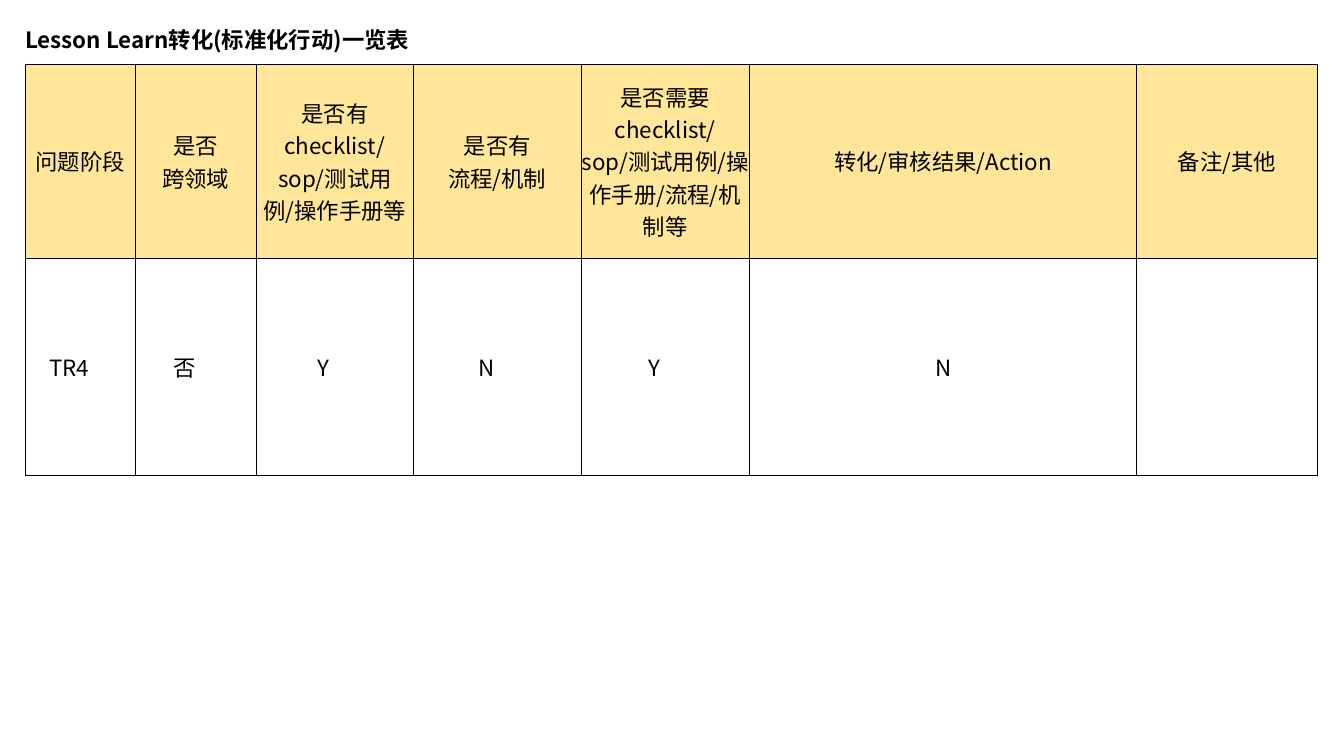
from dataclasses import dataclass

import lxml.etree
import pptx
import pptx.dml.color
import pptx.enum.text
import pptx.oxml.ns
import pptx.util

Pt = pptx.util.Pt
qn = pptx.oxml.ns.qn
SubElement = lxml.etree.SubElement


@dataclass(frozen=True)
class Theme:
    font: str = "Noto Sans CJK SC"
    size: float = 16
    ink: str = "000000"
    header_fill: str = "FFE699"
    border_width: float = 0.5


THEME = Theme()
TITLE = "Lesson Learn转化(标准化行动)一览表"
HEADERS = [
    "问题阶段",
    "是否\n跨领域",
    "是否有checklist/sop/测试用例/操作手册等",
    "是否有\n流程/机制",
    "是否需要checklist/sop/测试用例/操作手册/流程/机制等",
    "转化/审核结果/Action",
    "备注/其他",
]
VALUES = ["TR4　", "否　", "Y　", "N　", "Y　", "N", ""]
COLUMN_WIDTHS = [78.5, 86.5, 112.5, 119.5, 120.5, 276.5, 129]
ROW_HEIGHTS = [36.5, 90.5, 155.5]


def color(value):
    return pptx.dml.color.RGBColor.from_string(value)


def write_text(frame, text, bold=False, align=pptx.enum.text.PP_ALIGN.CENTER):
    """Fill a text frame, one paragraph for each line of the text."""
    frame.word_wrap = True
    for index, line in enumerate(text.split("\n")):
        para = frame.add_paragraph() if index else frame.paragraphs[0]
        para.alignment = align
        para.font.size = Pt(THEME.size)
        if not line:
            continue
        span = para.add_run()
        span.text = line
        span.font.name = THEME.font
        span.font.size = Pt(THEME.size)
        span.font.bold = bold
        span.font.color.rgb = color(THEME.ink)
        east_asian = SubElement(span.font._element, qn("a:ea"))
        east_asian.set("typeface", THEME.font)


def set_borders(cell, visible):
    """Draw the sides named in visible (of L, R, T, B) and clear the others."""
    properties = cell._tc.get_or_add_tcPr()
    for side in "LRTB":
        line = SubElement(properties, qn(f"a:ln{side}"))
        line.set("w", str(int(Pt(THEME.border_width))))
        if side in visible:
            fill = SubElement(line, qn("a:solidFill"))
            SubElement(fill, qn("a:srgbClr")).set("val", THEME.ink)
        else:
            SubElement(line, qn("a:noFill"))


def format_cell(cell, fill=None, borders="LRTB"):
    cell.margin_left = cell.margin_right = Pt(0)
    cell.margin_top = cell.margin_bottom = Pt(0)
    cell.vertical_anchor = pptx.enum.text.MSO_ANCHOR.MIDDLE
    set_borders(cell, borders)
    if fill:
        cell.fill.solid()
        cell.fill.fore_color.rgb = color(fill)
    else:
        cell.fill.background()


def add_action_table(slide):
    frame = slide.shapes.add_table(
        len(ROW_HEIGHTS), len(COLUMN_WIDTHS), Pt(18), Pt(9.5),
        Pt(sum(COLUMN_WIDTHS)), Pt(sum(ROW_HEIGHTS)))
    table = frame.table
    table.first_row = table.horz_banding = False
    for column, width in zip(table.columns, COLUMN_WIDTHS):
        column.width = Pt(width)
    for row, height in zip(table.rows, ROW_HEIGHTS):
        row.height = Pt(height)

    title = table.cell(0, 0)
    title.merge(table.cell(0, len(COLUMN_WIDTHS) - 1))
    for cell in table.rows[0].cells:
        format_cell(cell, borders="B")
    write_text(title.text_frame, TITLE, bold=True,
               align=pptx.enum.text.PP_ALIGN.LEFT)

    body_rows = [(HEADERS, THEME.header_fill), (VALUES, None)]
    for row_index, (texts, fill) in enumerate(body_rows, start=1):
        for cell, text in zip(table.rows[row_index].cells, texts):
            format_cell(cell, fill=fill)
            write_text(cell.text_frame, text)


def main():
    deck = pptx.Presentation()
    deck.slide_width, deck.slide_height = Pt(960), Pt(540)
    slide = deck.slides.add_slide(deck.slide_layouts[6])
    add_action_table(slide)
    deck.save("out.pptx")


if __name__ == "__main__":
    main()
